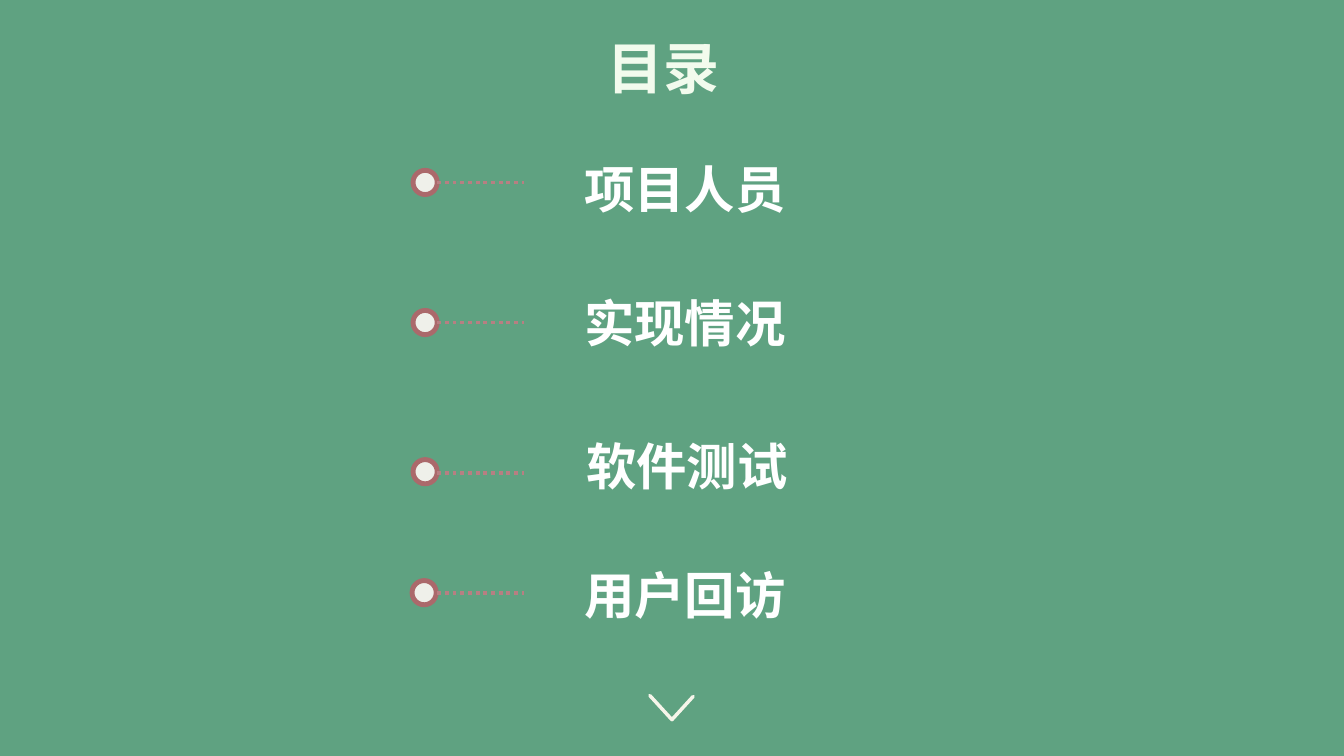
from lxml.etree import SubElement
from pptx import Presentation
from pptx.dml.color import RGBColor
from pptx.enum.dml import MSO_LINE
from pptx.enum.shapes import MSO_CONNECTOR, MSO_SHAPE
from pptx.enum.text import MSO_AUTO_SIZE, PP_ALIGN
from pptx.oxml.ns import qn
from pptx.util import Inches, Pt

FONT = "Noto Sans CJK SC"
GREEN = RGBColor(0x5F, 0xA2, 0x81)
PALE_GREEN = RGBColor(0xF2, 0xFB, 0xED)
WHITE = RGBColor(0xFF, 0xFF, 0xFF)
CREAM = RGBColor(0xF6, 0xF5, 0xEA)
DOT_FILL = RGBColor(0xEF, 0xF0, 0xEA)
DOT_RING = RGBColor(0xAB, 0x69, 0x6B)
DOTTED_PINK = RGBColor(0xB7, 0x7F, 0x82)

DOT_SIZE = 0.24
LEADER_START, LEADER_END = 4.34, 5.2

# Label, text left, text top, dot left, dot top, leader height
ENTRIES = [
    ("项目人员", 5.7, 1.52, 4.1, 1.69, 1.81),
    ("实现情况", 5.7, 2.85, 4.1, 3.08, 3.2),
    ("软件测试", 5.72, 4.27, 4.1, 4.56, 4.69),
    ("用户回访", 5.7, 5.55, 4.09, 5.76, 5.88),
]


def add_text(page, text, left, top, width, height, *, size, color,
             align=PP_ALIGN.LEFT):
    box = page.shapes.add_textbox(Inches(left), Inches(top),
                                  Inches(width), Inches(height))
    frame = box.text_frame
    frame.word_wrap = False
    frame.auto_size = MSO_AUTO_SIZE.SHAPE_TO_FIT_TEXT
    para = frame.paragraphs[0]
    para.alignment = align
    span = para.add_run()
    span.text = text
    span.font.size = Pt(size)
    span.font.bold = True
    span.font.name = FONT
    span.font.color.rgb = color
    # Chinese characters take the East Asian typeface
    SubElement(span.font._element, qn("a:ea"), typeface=FONT)


def add_dot(page, left, top):
    dot = page.shapes.add_shape(MSO_SHAPE.OVAL, Inches(left), Inches(top),
                                Inches(DOT_SIZE), Inches(DOT_SIZE))
    dot.shadow.inherit = False
    dot.fill.solid()
    dot.fill.fore_color.rgb = DOT_FILL
    dot.line.color.rgb = DOT_RING
    dot.line.width = Pt(3.5)


def add_leader(page, height):
    leader = page.shapes.add_connector(
        MSO_CONNECTOR.STRAIGHT, Inches(LEADER_START), Inches(height),
        Inches(LEADER_END), Inches(height))
    leader.line.color.rgb = DOTTED_PINK
    leader.line.width = Pt(2.75)
    leader.line.dash_style = MSO_LINE.ROUND_DOT
    SubElement(leader._element.spPr, qn("a:effectLst"))


def add_chevron(page):
    builder = page.shapes.build_freeform(Inches(6.45), Inches(6.9))
    builder.add_line_segments([(Inches(6.67), Inches(7.14)),
                               (Inches(6.88), Inches(6.91))], close=False)
    chevron = builder.convert_to_shape()
    chevron.shadow.inherit = False
    chevron.fill.background()
    chevron.line.color.rgb = CREAM
    chevron.line.width = Pt(2.5)
    outline = chevron.line._get_or_add_ln()
    outline.set("cap", "rnd")
    SubElement(outline, qn("a:round"))


def main():
    deck = Presentation()
    deck.slide_width = Inches(13.34)
    deck.slide_height = Inches(7.5)
    page = deck.slides.add_slide(deck.slide_layouts[6])
    page.background.fill.solid()
    page.background.fill.fore_color.rgb = GREEN

    # Title and downward chevron
    add_text(page, "目录", 5.93, 0.28, 1.31, 0.77, size=40,
             color=PALE_GREEN, align=PP_ALIGN.CENTER)
    add_chevron(page)

    # Contents entries
    for label, text_left, text_top, dot_left, dot_top, leader_height in ENTRIES:
        add_dot(page, dot_left, dot_top)
        add_leader(page, leader_height)
        add_text(page, label, text_left, text_top, 2.2, 0.7,
                 size=36, color=WHITE)

    deck.save("out.pptx")


if __name__ == "__main__":
    main()
